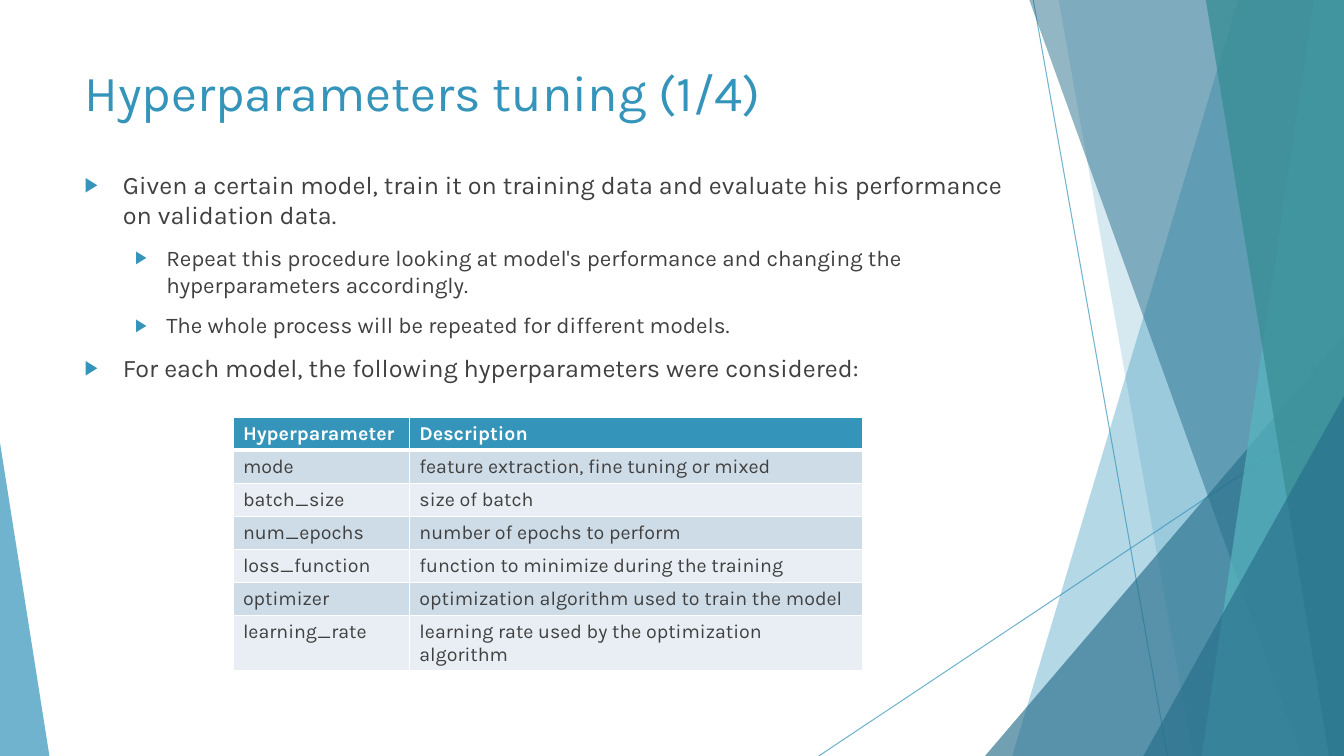
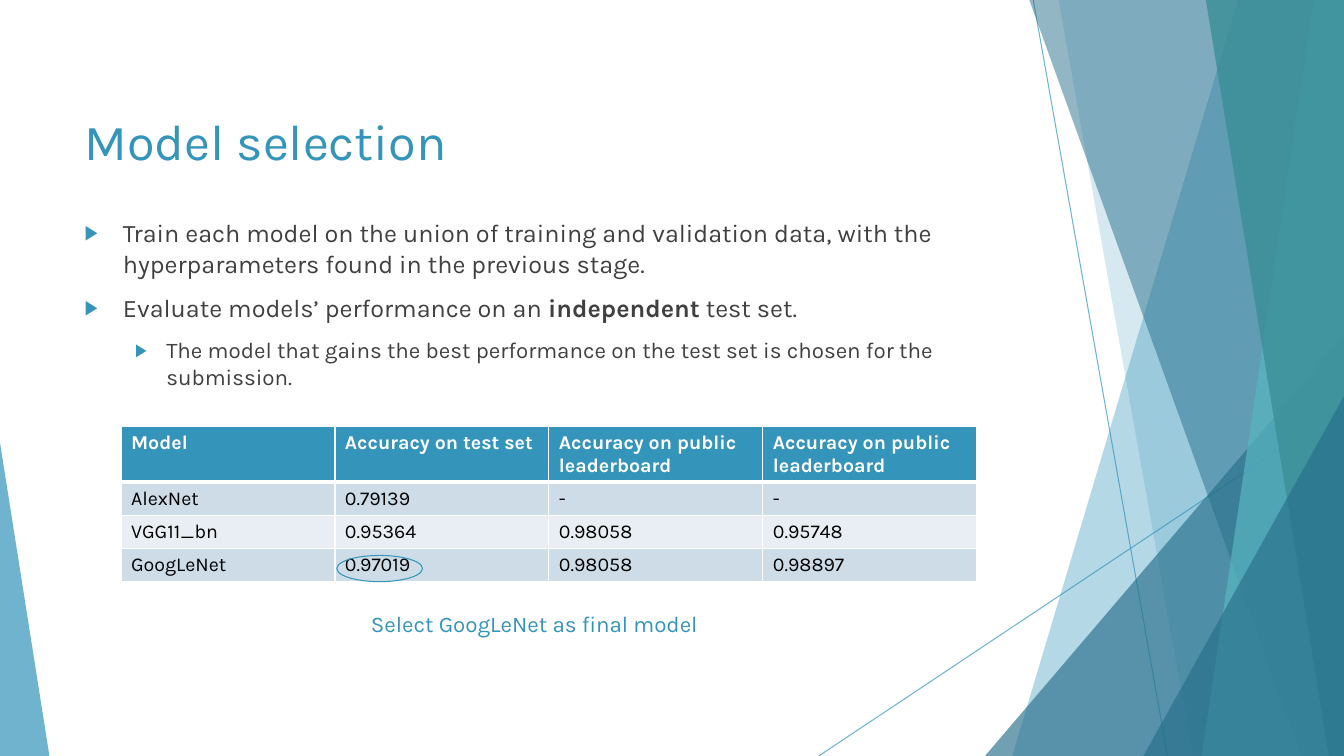
from dataclasses import dataclass
from typing import Any, NamedTuple

from lxml import etree
from pptx import Presentation
from pptx import util as u
from pptx.dml.color import RGBColor
from pptx.enum import shapes, text
from pptx.oxml import ns
from pptx.slide import Slide, SlideLayout

BLUE = RGBColor(0x34, 0x94, 0xBA)
NAVY = RGBColor(0x27, 0x6F, 0x8B)
AQUA = RGBColor(0x58, 0xB6, 0xC0)
TEAL = RGBColor(0x3A, 0x8F, 0x98)
GREY = RGBColor(0x40, 0x40, 0x40)
BLACK = RGBColor(0, 0, 0)
WHITE = RGBColor(0xFF, 0xFF, 0xFF)
STRIPES = (RGBColor(0xCE, 0xDC, 0xE7), RGBColor(0xE8, 0xEE, 0xF3))

FONT = "Karla"
WIDE = u.Inches(13.33)
HIGH = u.Inches(7.5)
LEFT, SPAN = 5.55, 70.52
HEAD, BODY = 19.2, 56.53


class Level(NamedTuple):
    size: int
    margin: float
    hang: float


LEVELS = (Level(18, 0.38, 0.38), Level(16, 0.81, 0.31))


@dataclass(frozen=True)
class Box:
    left: float
    top: float
    width: float
    height: float

    def place(self) -> tuple[int, int, int, int]:
        return x(self.left), y(self.top), x(self.width), y(self.height)


@dataclass(frozen=True)
class Ray:
    x1: float
    y1: float
    x2: float
    y2: float


@dataclass(frozen=True)
class Band:
    top: float
    low: float
    color: RGBColor
    alpha: int


@dataclass(frozen=True)
class Wedge:
    box: Box
    lean: float
    color: RGBColor
    alpha: int


@dataclass(frozen=True)
class Point:
    words: str
    level: int = 0


@dataclass(frozen=True)
class Grid:
    left: float
    top: float
    cols: tuple[float, ...]
    head: float
    row: float
    ink: RGBColor
    cells: tuple[tuple[str, ...], ...]


@dataclass(frozen=True)
class Page:
    title: str
    top: float
    points: tuple[Point, ...]
    grid: Grid


RAYS = (Ray(76.88, 0, 86.87, 100), Ray(100, 53.73, 60.92, 100))
FACETS = (
    Band(92.12, 75.32, BLUE, 36),
    Band(78.77, 88.75, BLUE, 20),
    Wedge(Box(73.29, 44.4, 26.71, 55.6), 1, NAVY, 66),
    Band(76.59, 96.85, NAVY, 50),
    Band(97.75, 89.42, AQUA, 70),
    Band(89.72, 98.87, TEAL, 80),
    Wedge(Box(85.07, 52.4, 14.93, 47.6), 1, NAVY, 66),
    Wedge(Box(0, 58.53, 3.68, 41.47), 0, BLUE, 70),
)

TUNING = Page(
    "Hyperparameters tuning (1/4)",
    2.53,
    (
        Point("Given a certain model, train it on training data and evaluate his performance on validation data."),
        Point("Repeat this procedure looking at model's performance and changing the hyperparameters accordingly.", 1),
        Point("The whole process will be repeated for different models.", 1),
        Point("For each model, the following hyperparameters were considered:"),
    ),
    Grid(17.33, 55.2, (13.13, 33.76), 3.87, 3.87, GREY, (
        ("Hyperparameter", "Description"),
        ("mode", "feature extraction, fine tuning or mixed"),
        ("batch_size", "size of batch"),
        ("num_epochs", "number of epochs to perform"),
        ("loss_function", "function to minimize during the training"),
        ("optimizer", "optimization algorithm used to train the model"),
        ("learning_rate", "learning rate used by the optimization algorithm"),
    )),
)
CHOICE = Page(
    "Model selection",
    8.93,
    (
        Point("Train each model on the union of training and validation data, "
              "with the hyperparameters found in the previous stage."),
        Point("Evaluate models’ performance on an *independent* test set."),
        Point("The model that gains the best performance on the test set is chosen for the submission.", 1),
    ),
    Grid(9, 56.4, (15.92,) * 4, 6.8, 4, BLACK, (
        ("Model", "Accuracy on test set") + ("Accuracy on public leaderboard",) * 2,
        ("AlexNet", "0.79139", "-", "-"),
        ("VGG11_bn", "0.95364", "0.98058", "0.95748"),
        ("GoogLeNet", "0.97019", "0.98058", "0.98897"),
    )),
)


def x(share: float) -> int:
    return round(WIDE * share / 100)


def y(share: float) -> int:
    return round(HIGH * share / 100)


def node(root: Any, tag: str, **attrs: str) -> Any:
    return etree.SubElement(root, ns.qn(tag), attrs)


def style(run: Any, size: int, color: RGBColor, bold: bool = False) -> None:
    run.font.name = FONT
    run.font.size = u.Pt(size)
    run.font.color.rgb = color
    run.font.bold = bold


def fade(item: Any, alpha: int) -> None:
    for tint in item.element.spPr.iter(ns.qn("a:srgbClr")):
        node(tint, "a:alpha", val=str(alpha * 1000))


def draw_ray(slide: Slide, ray: Ray) -> Any:
    line = slide.shapes.add_connector(
        shapes.MSO_CONNECTOR.STRAIGHT, x(ray.x1), y(ray.y1), x(ray.x2), y(ray.y2))
    line.line.color.rgb = BLUE
    line.line.width = u.Pt(0.75)
    fade(line, 70)
    node(line.element.spPr, "a:effectLst")
    return line


def draw_facet(slide: Slide, facet: Band | Wedge) -> Any:
    if isinstance(facet, Band):
        pen = slide.shapes.build_freeform(x(facet.top), 0)
        pen.add_line_segments([(WIDE, 0), (WIDE, HIGH), (x(facet.low), HIGH)])
        form = pen.convert_to_shape()
    else:
        form = slide.shapes.add_shape(shapes.MSO_SHAPE.ISOSCELES_TRIANGLE, *facet.box.place())
        form.adjustments[0] = facet.lean
    form.shadow.inherit = False
    form.line.fill.background()
    form.fill.solid()
    form.fill.fore_color.rgb = facet.color
    fade(form, facet.alpha)
    return form


def dress(layout: SlideLayout, slide: Slide) -> None:
    items = [draw_ray(slide, ray) for ray in RAYS]
    items += [draw_facet(slide, facet) for facet in FACETS]
    for spot, item in enumerate(items, 2):
        layout.shapes.element.insert(spot, item.element)


def set_place(item: Any, box: Box) -> None:
    item.left, item.top, item.width, item.height = box.place()


def fill_title(slide: Slide, page: Page) -> None:
    title = slide.shapes.title
    set_place(title, Box(LEFT, page.top, SPAN, HEAD))
    frame = title.text_frame
    frame.text = page.title
    frame.auto_size = text.MSO_AUTO_SIZE.NONE
    frame.vertical_anchor = text.MSO_ANCHOR.MIDDLE
    frame.paragraphs[0].alignment = text.PP_ALIGN.LEFT
    style(frame.paragraphs[0].runs[0], 36, BLUE)


def add_point(para: Any, point: Point) -> None:
    level = LEVELS[point.level]
    para.level = point.level
    para.space_before = u.Pt(10)
    for turn, part in enumerate(point.words.split("*")):
        run = para.add_run()
        run.text = part
        style(run, level.size, GREY, turn % 2 == 1)
    props = para._p.get_or_add_pPr()
    props.set("marL", str(u.Inches(level.margin)))
    props.set("indent", str(-u.Inches(level.hang)))
    node(node(props, "a:buClr"), "a:srgbClr", val=str(BLUE))
    node(props, "a:buSzPct", val="80000")
    node(props, "a:buChar", char="▶")


def fill_body(slide: Slide, page: Page) -> None:
    body = slide.placeholders[1]
    set_place(body, Box(LEFT, page.top + HEAD, SPAN, BODY))
    frame = body.text_frame
    frame.auto_size = text.MSO_AUTO_SIZE.NONE
    for turn, point in enumerate(page.points):
        add_point(frame.add_paragraph() if turn else frame.paragraphs[0], point)


def edge(cell: Any, row: int) -> None:
    props = cell._tc.get_or_add_tcPr()
    widths = {"L": 1, "R": 1, "T": 3 if row == 1 else 1, "B": 1 if row else 3}
    for side, width in widths.items():
        line = node(props, f"a:ln{side}", w=str(u.Pt(width)))
        node(node(line, "a:solidFill"), "a:srgbClr", val=str(WHITE))


def draw_grid(slide: Slide, grid: Grid) -> None:
    rows = len(grid.cells)
    high = grid.head + grid.row * (rows - 1)
    box = Box(grid.left, grid.top, sum(grid.cols), high)
    table = slide.shapes.add_table(rows, len(grid.cols), *box.place()).table
    for col, width in zip(table.columns, grid.cols):
        col.width = x(width)
    for r, words in enumerate(grid.cells):
        table.rows[r].height = y(grid.row if r else grid.head)
        for c, word in enumerate(words):
            cell = table.cell(r, c)
            edge(cell, r)
            cell.fill.solid()
            cell.fill.fore_color.rgb = STRIPES[(r - 1) % 2] if r else BLUE
            cell.text_frame.text = word
            style(cell.text_frame.paragraphs[0].runs[0], 14, grid.ink if r else WHITE, r == 0)


def draw_ring(slide: Slide, box: Box) -> None:
    ring = slide.shapes.add_shape(shapes.MSO_SHAPE.OVAL, *box.place())
    ring.shadow.inherit = False
    ring.fill.background()
    ring.line.color.rgb = BLUE
    ring.line.width = u.Pt(0.75)


def draw_note(slide: Slide, box: Box, words: str) -> None:
    frame = slide.shapes.add_textbox(*box.place()).text_frame
    frame.word_wrap = True
    frame.text = words
    frame.paragraphs[0].alignment = text.PP_ALIGN.CENTER
    style(frame.paragraphs[0].runs[0], 16, BLUE)


def main() -> None:
    deck = Presentation()
    deck.slide_width, deck.slide_height = WIDE, HIGH
    layout = deck.slide_layouts[1]
    slides = []
    for page in (TUNING, CHOICE):
        slide = deck.slides.add_slide(layout)
        fill_title(slide, page)
        fill_body(slide, page)
        draw_grid(slide, page.grid)
        slides.append(slide)
    first, last = slides
    dress(layout, first)
    draw_ring(last, Box(25.06, 73.47, 6.38, 3.47))
    draw_note(last, Box(23.93, 80, 31.66, 4.93), "Select GoogLeNet as final model")
    deck.save("out.pptx")


if __name__ == "__main__":
    main()
